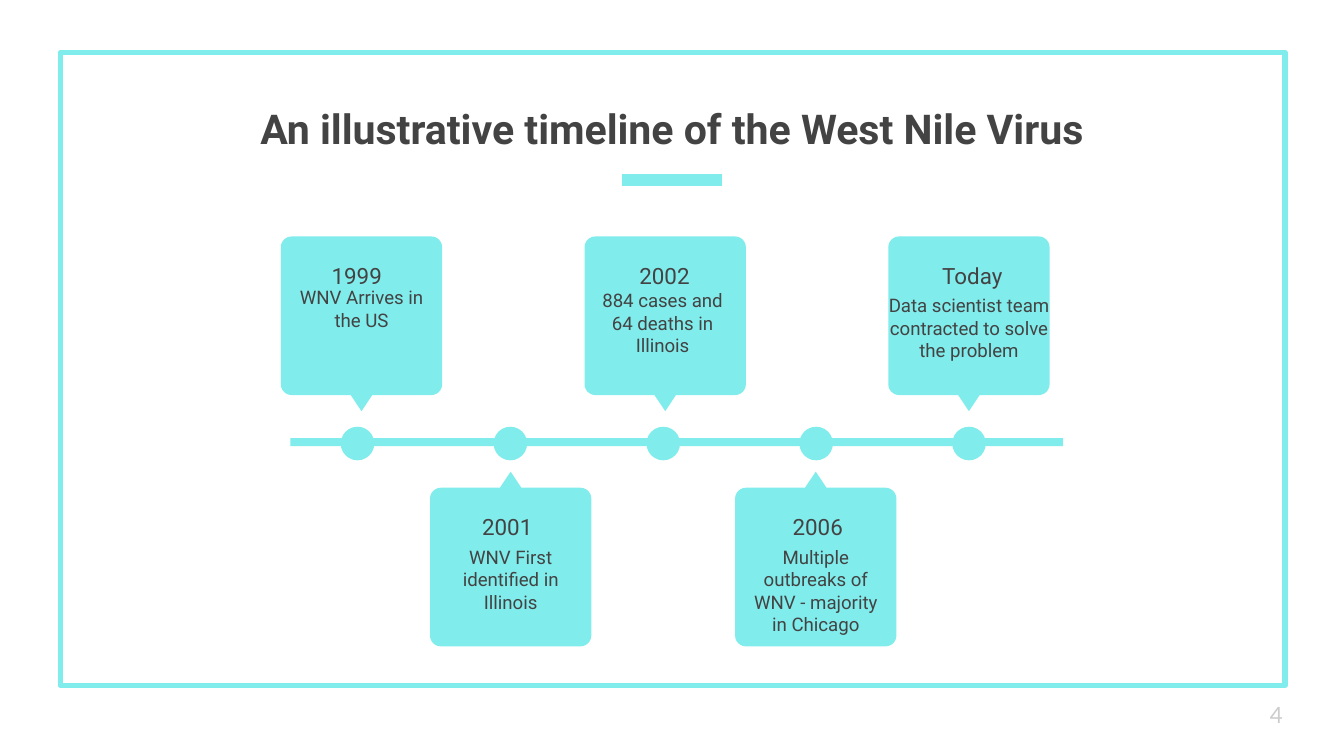
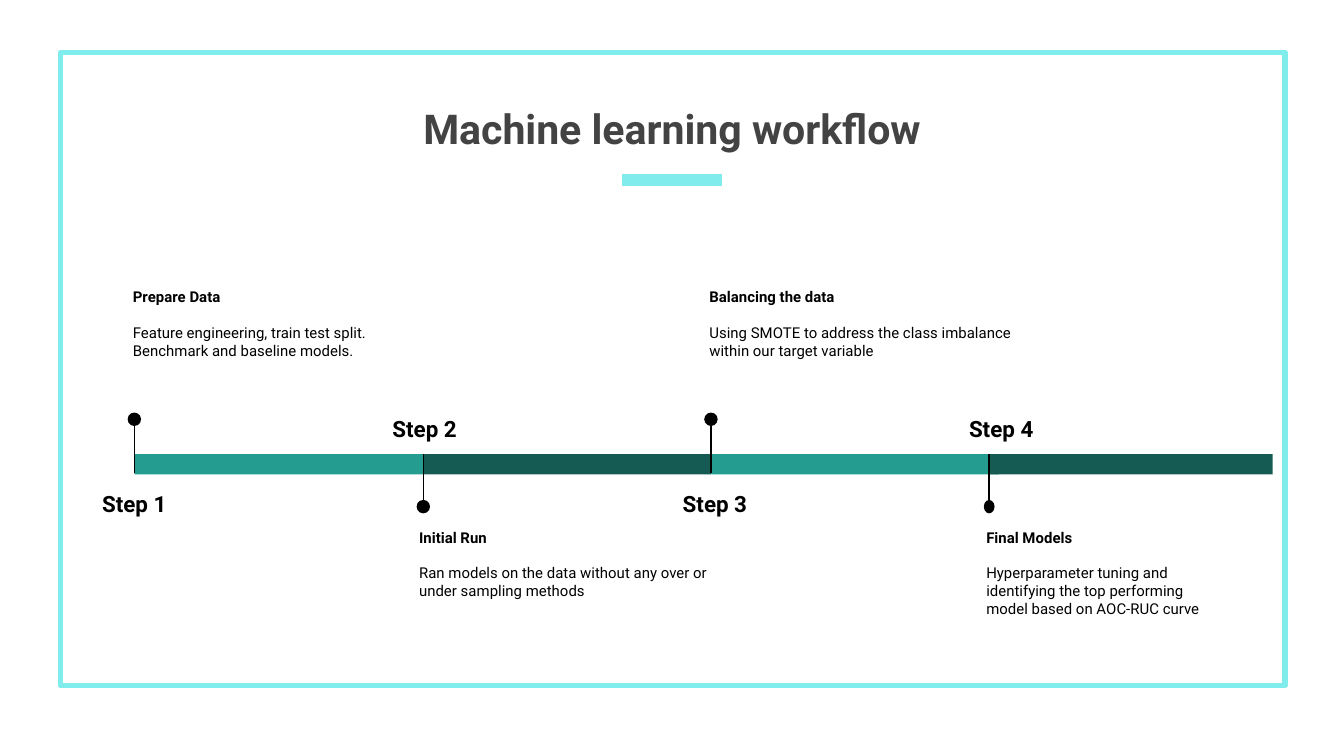
from dataclasses import dataclass
from math import cos, radians, sin

from lxml import etree
from pptx import Presentation
from pptx.dml.color import RGBColor
from pptx.enum.shapes import MSO_CONNECTOR, MSO_SHAPE
from pptx.enum.text import MSO_ANCHOR, PP_ALIGN
from pptx.oxml.ns import qn
from pptx.util import Inches, Pt


@dataclass(frozen=True)
class Theme:
    font: str = "Roboto"
    number_font: str = "Lato"
    accent: str = "81ECEC"
    ink: str = "434343"
    black: str = "000000"
    muted: str = "CCCCCC"
    teal: str = "249C90"
    deep_teal: str = "155B54"
    title: int = 22
    label: int = 12
    body: int = 10
    note: int = 8


class Deck:
    def __init__(self, theme):
        self.theme = theme
        self.presentation = Presentation()
        self.presentation.slide_width = Inches(10)
        self.presentation.slide_height = Inches(10) * 9 // 16
        self.slide = None

    def start_slide(self, title):
        theme = self.theme
        layout = self.presentation.slide_layouts[6]
        self.slide = self.presentation.slides.add_slide(layout)
        frame = self.shape(MSO_SHAPE.RECTANGLE, 0.45, 0.39, 9.11, 4.71)
        frame.line.color.rgb = RGBColor.from_string(theme.accent)
        frame.line.width = Pt(3)
        etree.SubElement(frame.line._get_or_add_ln(), qn("a:round"))
        self.line(4.63, 1.34, 5.37, 1.34, theme.accent, 6)
        self.text(0, 0.24, 10, 1, [(title, {"size": Pt(theme.title), "bold": True}, {})],
                  anchor=MSO_ANCHOR.BOTTOM)

    def paint(self, shape, fill):
        shape.shadow.inherit = False
        shape.line.fill.background()
        if fill:
            shape.fill.solid()
            shape.fill.fore_color.rgb = RGBColor.from_string(fill)
        else:
            shape.fill.background()
        return shape

    def shape(self, preset, left, top, width, height, fill=None):
        box = map(Inches, (left, top, width, height))
        return self.paint(self.slide.shapes.add_shape(preset, *box), fill)

    def dot(self, x, y, width, height, fill):
        self.shape(MSO_SHAPE.OVAL, x - width / 2, y - height / 2, width, height, fill)

    def line(self, x1, y1, x2, y2, color, weight):
        ends = map(Inches, (x1, y1, x2, y2))
        connector = self.slide.shapes.add_connector(MSO_CONNECTOR.STRAIGHT, *ends)
        connector.line.color.rgb = RGBColor.from_string(color)
        connector.line.width = Pt(weight)
        etree.SubElement(connector._element.spPr, qn("a:effectLst"))

    def callout(self, x, tip, direction):
        half, far, near, radius, pointer = 0.6, 1.3, 0.12, 0.08, 0.08
        corners = [(half - radius, near + radius, -90), (half - radius, far - radius, 0),
                   (radius - half, far - radius, 90), (radius - half, near + radius, 180)]
        outline = [(0, 0), (pointer, near)]
        for center_x, center_y, start in corners:
            for angle in range(start, start + 91, 15):
                outline.append((center_x + radius * cos(radians(angle)),
                                center_y + radius * sin(radians(angle))))
        outline.append((-pointer, near))
        points = [(Inches(x + dx), Inches(tip + direction * dy)) for dx, dy in outline]
        builder = self.slide.shapes.build_freeform(*points[0])
        builder.add_line_segments(points[1:], close=True)
        self.paint(builder.convert_to_shape(), self.theme.accent)

    def text(self, left, top, width, height, paragraphs, color=None,
             align=PP_ALIGN.CENTER, anchor=MSO_ANCHOR.TOP):
        box = map(Inches, (left, top, width, height))
        frame = self.slide.shapes.add_textbox(*box).text_frame
        margins = {f"margin_{side}": Inches(0.1) for side in ("left", "top", "right", "bottom")}
        for name, value in {**margins, "word_wrap": True, "vertical_anchor": anchor}.items():
            setattr(frame, name, value)
        for index, (content, font, spacing) in enumerate(paragraphs):
            paragraph = frame.add_paragraph() if index else frame.paragraphs[0]
            for name, value in {"alignment": align, **spacing}.items():
                setattr(paragraph, name, value)
            run = paragraph.add_run()
            run.text = content
            for name, value in {"name": self.theme.font, **font}.items():
                setattr(run.font, name, value)
            run.font.color.rgb = RGBColor.from_string(color or self.theme.ink)

    def page_number(self, number):
        font = {"name": self.theme.number_font, "size": Pt(self.theme.label)}
        self.text(9.35, 5.1, 0.6, 0.43, [(number, font, {})], self.theme.muted,
                  PP_ALIGN.LEFT, MSO_ANCHOR.MIDDLE)


def build_timeline(deck):
    theme = deck.theme
    deck.start_slide("An illustrative timeline of the West Nile Virus")
    events = [
        ("1999", "WNV Arrives in the US", 2.69, 2.65, 2.69, 2.03, 1.2),
        ("2001", "WNV First identified in Illinois", 3.8, 3.77, 3.8, 3.96, 1.16),
        ("2002", "884 cases and 64 deaths in Illinois", 4.95, 4.94, 4.93, 2.05, 1.2),
        ("2006", "Multiple outbreaks of WNV - majority in Chicago", 6.07, 6.08, 6.07, 3.96, 1.23),
        ("Today", "Data scientist team contracted to solve the problem", 7.21, 7.23, 7.21, 2.09, 1.4),
    ]
    deck.shape(MSO_SHAPE.RECTANGLE, 2.16, 3.26, 5.75, 0.06, theme.accent)
    first_dot, dot_step = 2.66, 4.55 / 4
    for index, (year, event, card_x, year_x, event_x, event_top, width) in enumerate(events):
        above = index % 2 == 0
        deck.callout(card_x, 3.06 if above else 3.51, -1 if above else 1)
        deck.dot(first_dot + index * dot_step, 3.3, 0.25, 0.25, theme.accent)
        deck.text(event_x - width / 2, event_top, width, 0.74,
                  [(event, {"size": Pt(theme.body)}, {})])
        deck.text(year_x - 0.46, 1.85 if above else 3.72, 0.93, 0.37,
                  [(year, {"size": Pt(theme.label)}, {})])
    deck.page_number("4")


def build_workflow(deck):
    theme = deck.theme
    deck.start_slide("Machine learning workflow")
    steps = [
        ("Prepare Data", "Feature engineering, train test split. Benchmark and baseline models.",
         1, 2.15, 0.1, 1, 0.89, 2.46),
        ("Initial Run", "Ran models on the data without any over or under sampling methods",
         3.15, 2.14, 0.1, 3.16, 3.02, 2.46),
        ("Balancing the data",
         "Using SMOTE to address the class imbalance within our target variable",
         5.29, 2.14, 0.1, 5.32, 5.18, 2.46),
        ("Final Models",
         "Hyperparameter tuning and identifying the top performing model based on AOC-RUC curve",
         7.36, 2.11, 0.08, 7.45, 7.24, 1.84),
    ]
    label_font = {"size": Pt(theme.label), "bold": True}
    label_spacing = {"line_spacing": 1.15}
    for index, (heading, detail, x, length, dot_width, label_x, note_x, note_width) in enumerate(steps):
        above = index % 2 == 0
        bar_color = theme.teal if above else theme.deep_teal
        deck.shape(MSO_SHAPE.RECTANGLE, x, 3.38, length, 0.15, bar_color)
        stem_top, stem_bottom = (3.13, 3.52) if above else (3.38, 3.77)
        deck.line(x, stem_top, x, stem_bottom, theme.black, 0.75)
        deck.dot(x, 3.12 if above else 3.77, dot_width, 0.1, theme.black)
        deck.text(label_x - 0.42, 3.52 if above else 2.96, 0.84, 0.41,
                  [(f"Step {index + 1}", label_font, label_spacing)], theme.black)
        deck.text(note_x, 2.04 if above else 3.83, note_width, 1.03,
                  [(heading, {"size": Pt(theme.note), "bold": True}, {"space_after": Pt(9.6)}),
                   (detail, {"size": Pt(theme.note)}, {})],
                  theme.black, PP_ALIGN.LEFT)


def main():
    deck = Deck(Theme())
    build_timeline(deck)
    build_workflow(deck)
    deck.presentation.save("out.pptx")


if __name__ == "__main__":
    main()
